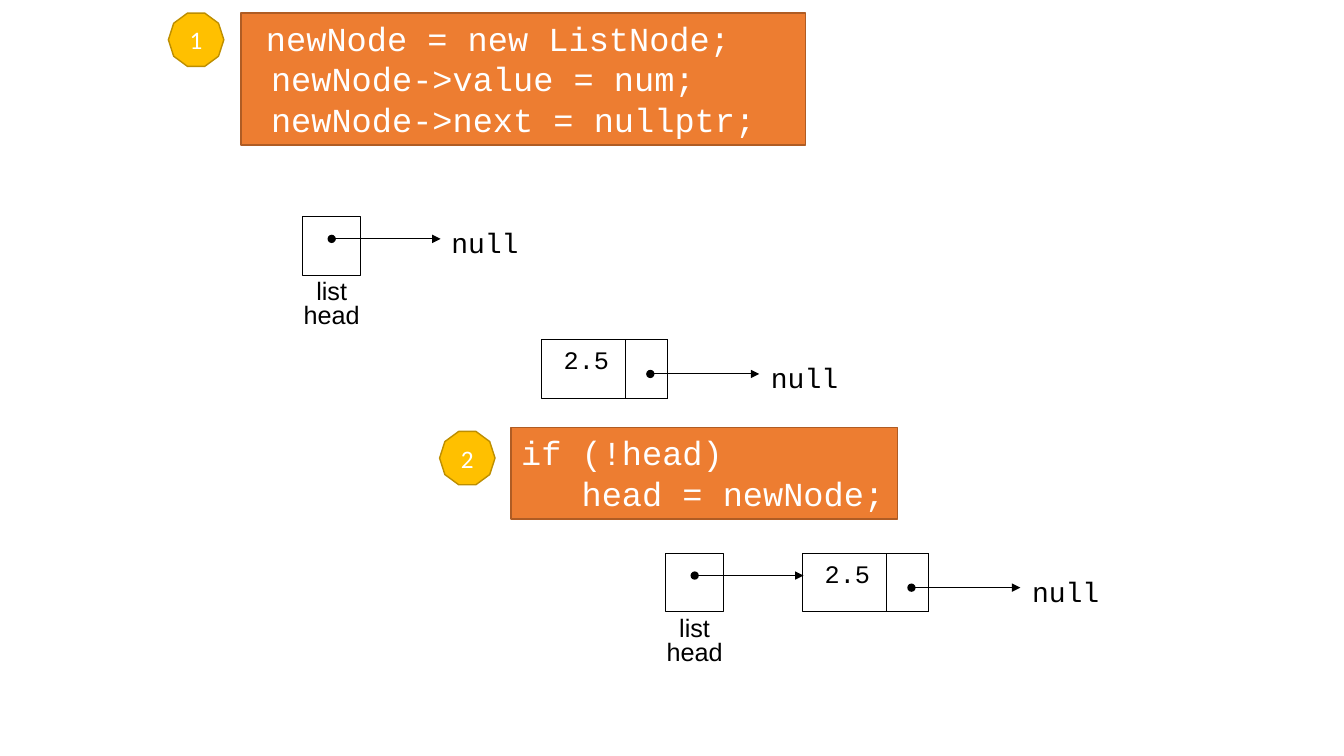
from lxml import etree
from pptx import Presentation
from pptx.dml.color import RGBColor
from pptx.enum.shapes import MSO_CONNECTOR, MSO_SHAPE
from pptx.enum.text import MSO_ANCHOR, MSO_AUTO_SIZE, PP_ALIGN
from pptx.oxml.ns import qn
from pptx.util import Inches, Pt

RECT, DECAGON = MSO_SHAPE.RECTANGLE, MSO_SHAPE.DECAGON
STRAIGHT = MSO_CONNECTOR.STRAIGHT
LEFT, CENTER = PP_ALIGN.LEFT, PP_ALIGN.CENTER
TOP, MIDDLE = MSO_ANCHOR.TOP, MSO_ANCHOR.MIDDLE
FIT, FIXED = MSO_AUTO_SIZE.SHAPE_TO_FIT_TEXT, MSO_AUTO_SIZE.NONE

BLACK, WHITE = "000000", "FFFFFF"
ORANGE, ORANGE_EDGE = "ED7D31", "AF5C24"
GOLD, GOLD_EDGE = "FFC000", "BD8E00"
MONO = "Courier New"

CODE_BLOCKS = [
    {"at": (2.39, 0.13, 5.6, 1.31), "wrap": True, "lines": [
        [(" ", 18), ("newNode = new ListNode;", 24)],
        [(" newNode->value = num;", 24)],
        [(" newNode->next = nullptr;", 24)],
    ]},
    {"at": (5.07, 4.24, 3.83, 0.91), "wrap": False, "lines": [
        [("if (!head)", 24)],
        [("   head = newNode;", 24)],
    ]},
]
STEPS = [("1", 1.67, 0.13), ("2", 4.36, 4.28)]
LIST_HEADS = [(3, 2.15), (6.6, 5.49)]
NODES = [("2.5", 5.37, 3.37), ("2.5", 7.96, 5.49)]

CELL = 0.58
NODE_WIDTH = 1.25
POINTER_WIDTH = 0.42
ARROW_LENGTH = 1.08


def color(value):
    return RGBColor.from_string(value)


def inches(values):
    return [Inches(value) for value in values]


def draw_shape(kind, at, fill=None, edge=BLACK, weight=0.75):
    shape = slide.shapes.add_shape(kind, *inches(at))
    shape.shadow.inherit = False
    if fill:
        shape.fill.solid()
        shape.fill.fore_color.rgb = color(fill)
    else:
        shape.fill.background()
    shape.line.color.rgb = color(edge)
    shape.line.width = Pt(weight)
    return shape


def write(shape, lines, font, ink, align=CENTER, spacing=1.0,
          anchor=TOP, wrap=False, fit=FIT):
    frame = shape.text_frame
    frame_format = {"word_wrap": wrap, "auto_size": fit, "vertical_anchor": anchor}
    for name, value in frame_format.items():
        setattr(frame, name, value)
    for index, line in enumerate(lines):
        paragraph = frame.paragraphs[0] if index == 0 else frame.add_paragraph()
        paragraph.alignment = align
        paragraph.line_spacing = spacing
        for words, size in line:
            run = paragraph.add_run()
            run.text = words
            run.font.name = font
            run.font.size = Pt(size)
            run.font.color.rgb = color(ink)


def draw_label(at, lines, font, spacing=1.0):
    label = slide.shapes.add_textbox(*inches(at))
    write(label, lines, font, BLACK, spacing=spacing)


def draw_null(x, y):
    draw_label((x, y, 0.88, 0.51), [[("null", 20)]], MONO, 1.2)


def draw_pointer(x, y):
    arrow = slide.shapes.add_connector(
        STRAIGHT, *inches((x, y, x + ARROW_LENGTH, y)))
    arrow.line.color.rgb = color(BLACK)
    arrow.line.width = Pt(0.75)
    outline = arrow.line._get_or_add_ln()
    for end, style in (("a:headEnd", "oval"), ("a:tailEnd", "triangle")):
        etree.SubElement(outline, qn(end), type=style)
    etree.SubElement(arrow._element.spPr, qn("a:effectLst"))


def draw_list_head(x, y):
    draw_shape(RECT, (x, y, CELL, CELL))
    draw_label((x - 0.09, y + 0.59, 0.76, 0.59),
               [[("list", 18)], [("head", 18)]], "Arial", 0.8)
    draw_pointer(x + CELL / 2, y + 0.22)


def draw_node(value, x, y):
    draw_shape(RECT, (x, y, NODE_WIDTH, CELL))
    draw_shape(RECT, (x + NODE_WIDTH - POINTER_WIDTH, y, POINTER_WIDTH, CELL))
    draw_label((x + 0.12, y, 0.65, 0.4), [[(value, 18)]], MONO)
    draw_pointer(x + 1.08, y + 0.34)
    draw_null(x + 2.17, y + 0.09)


prs = Presentation()
prs.slide_width, prs.slide_height = Inches(13.33), Inches(7.5)
slide = prs.slides.add_slide(prs.slide_layouts[6])

for x, y in LIST_HEADS:
    draw_list_head(x, y)
first_x, first_y = LIST_HEADS[0]
draw_null(first_x + 1.37, first_y - 0.03)

for value, x, y in NODES:
    draw_node(value, x, y)

for block in CODE_BLOCKS:
    panel = draw_shape(RECT, block["at"], ORANGE, ORANGE_EDGE, 1)
    write(panel, block["lines"], MONO, WHITE, align=LEFT, wrap=block["wrap"])

for number, x, y in STEPS:
    badge = draw_shape(DECAGON, (x, y, 0.55, 0.53), GOLD, GOLD_EDGE, 1)
    write(badge, [[(number, 18)]], "Calibri", WHITE,
          anchor=MIDDLE, wrap=True, fit=FIXED)

prs.save("out.pptx")
